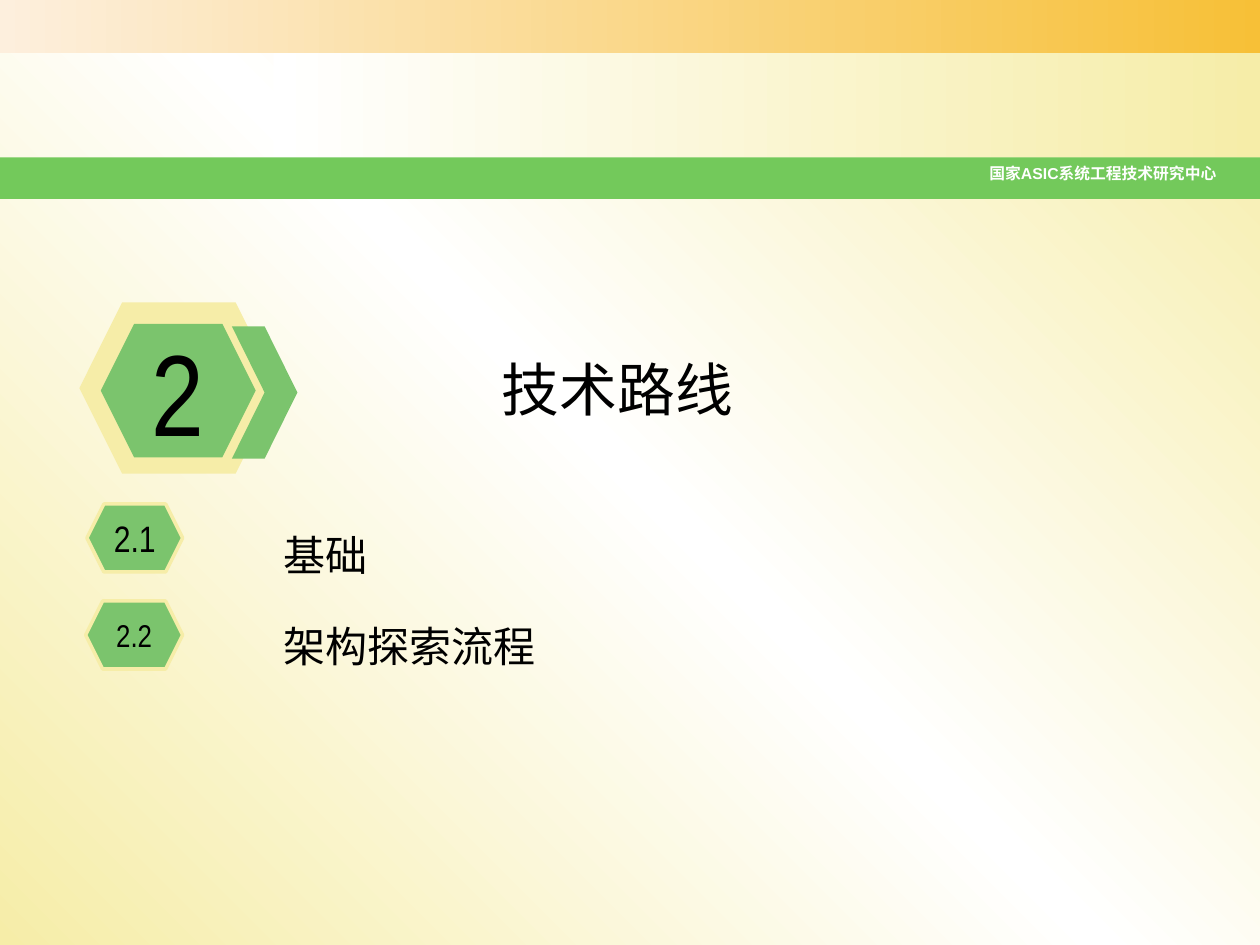
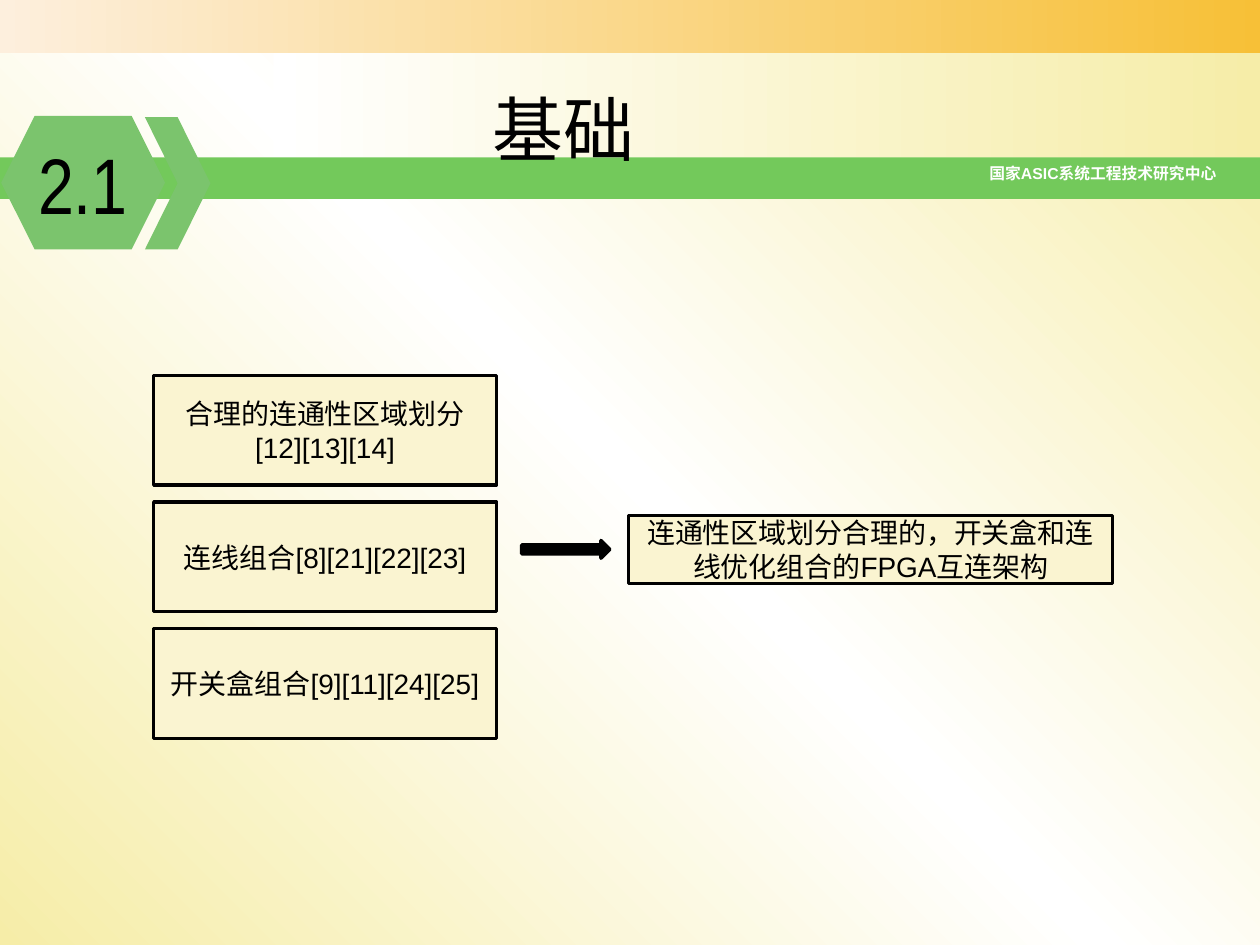
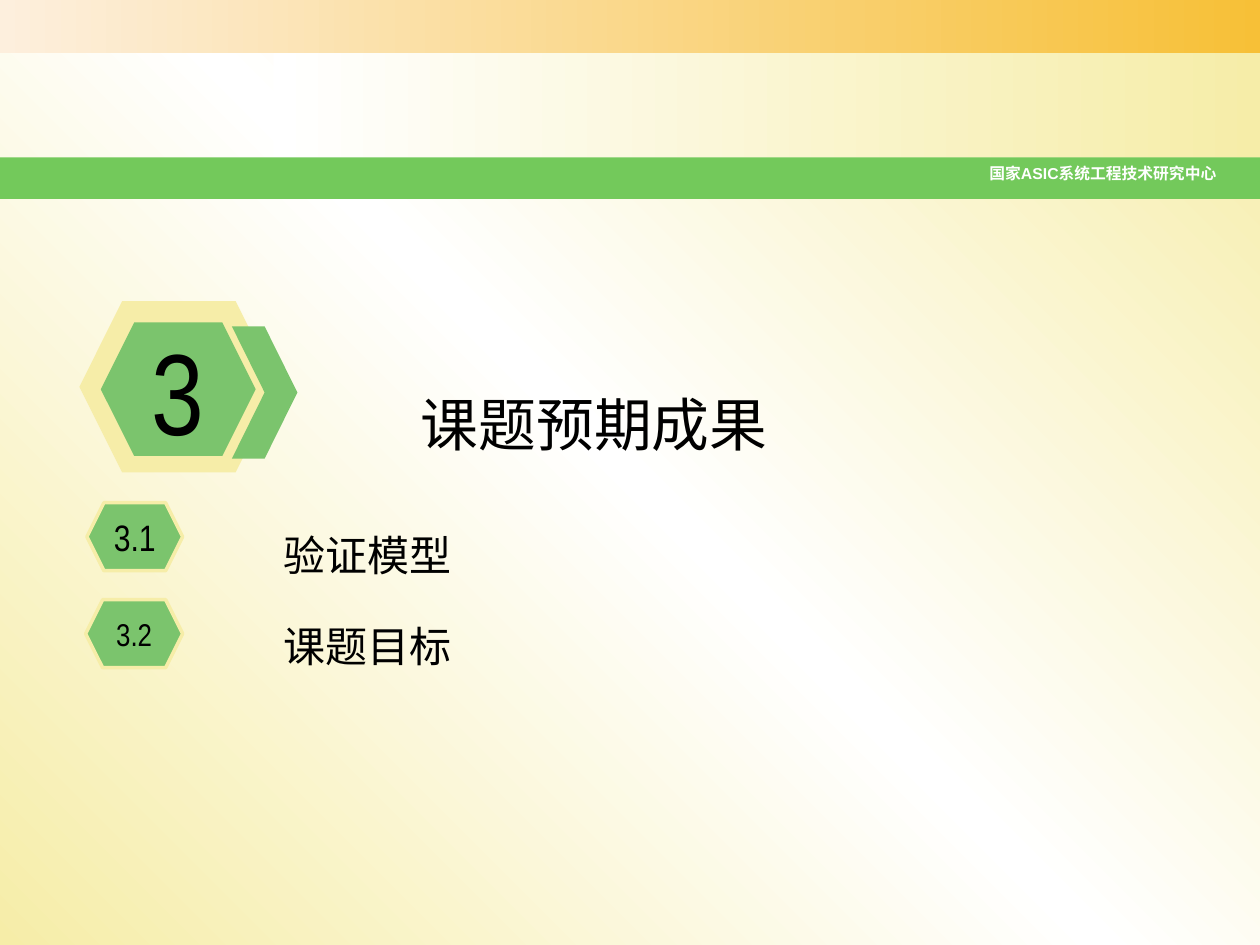
"""Build three slides of a research talk: two section openers and one topic slide."""
from lxml import etree
from pptx import Presentation
from pptx.dml.color import RGBColor
from pptx.enum import shapes, text
from pptx.oxml import ns
from pptx.util import Inches, Pt

BLACK = RGBColor(0x00, 0x00, 0x00)
WHITE = RGBColor(0xFF, 0xFF, 0xFF)
CREAM = RGBColor(0xF6, 0xED, 0xA8)
PALE_CREAM = RGBColor(0xFA, 0xF4, 0xD1)
PEACH = RGBColor(0xFD, 0xEF, 0xDD)
AMBER = RGBColor(0xF7, 0xC0, 0x37)
BAND_GREEN = RGBColor(0x73, 0xC9, 0x5B)
BADGE_GREEN = RGBColor(0x7B, 0xC4, 0x6D)

HAN_FONT = "Noto Sans CJK SC"
BADGE_FONT = "Arial Narrow"
BODY_FONT = "Arial"
INSTITUTE = "国家ASIC系统工程技术研究中心"
TITLE_ONLY = 5

RECT = shapes.MSO_SHAPE.RECTANGLE
HEXAGON = shapes.MSO_SHAPE.HEXAGON
CHEVRON = shapes.MSO_SHAPE.CHEVRON
ARROW = shapes.MSO_SHAPE.RIGHT_ARROW
LEFT, CENTER, RIGHT = text.PP_ALIGN.LEFT, text.PP_ALIGN.CENTER, text.PP_ALIGN.RIGHT


def set_gradient(fill, owner, colours, angle=0):
    """Fill with evenly spaced colour stops."""
    fill.gradient()
    fill.gradient_angle = angle
    stops = next(owner.iter(ns.qn("a:gsLst")))
    for stop in list(stops):
        stops.remove(stop)
    for index, colour in enumerate(colours):
        position = 100000 * index // (len(colours) - 1)
        stop = etree.SubElement(stops, ns.qn("a:gs"), pos=str(position))
        etree.SubElement(stop, ns.qn("a:srgbClr"), val=str(colour))


def write(frame, lines, size, font, colour=BLACK, align=LEFT, bold=False,
          spacing=1.0, before=0):
    """Put one paragraph per line into a text frame."""
    for index, line in enumerate(lines):
        paragraph = frame.add_paragraph() if index else frame.paragraphs[0]
        paragraph.text = line
        paragraph.alignment = align
        paragraph.line_spacing = spacing
        paragraph.space_before = Pt(before)
        paragraph.font.size = Pt(size)
        paragraph.font.name = font
        paragraph.font.bold = bold
        paragraph.font.color.rgb = colour
        defaults = next(paragraph._p.iter(ns.qn("a:defRPr")))
        etree.SubElement(defaults, ns.qn("a:ea"), typeface=HAN_FONT)


def add_figure(slide, preset, box, fill=None, line=None):
    """Add a flat preset shape at box = left, top, width, height."""
    figure = slide.shapes.add_shape(preset, *map(Inches, box))
    figure.shadow.inherit = False
    if fill is not None:
        figure.fill.solid()
        figure.fill.fore_color.rgb = fill
    if line is None:
        figure.line.fill.background()
    else:
        figure.line.color.rgb = line
        figure.line.width = Pt(2)
    return figure


def add_badge(slide, number, box, size, line=None):
    """Add a numbered green hexagon."""
    frame = add_figure(slide, HEXAGON, box, BADGE_GREEN, line).text_frame
    frame.word_wrap = False
    frame.vertical_anchor = text.MSO_ANCHOR.MIDDLE
    write(frame, [number], size, BADGE_FONT, align=CENTER)


def add_claim(slide, wording, box):
    """Add an outlined box with centred wording."""
    frame = add_figure(slide, RECT, box, PALE_CREAM, BLACK).text_frame
    frame.word_wrap = True
    frame.vertical_anchor = text.MSO_ANCHOR.MIDDLE
    write(frame, [wording], 16, BODY_FONT, align=CENTER)


def add_text(slide, lines, box, size, font, **style):
    """Add a wrapping text box."""
    frame = slide.shapes.add_textbox(*map(Inches, box)).text_frame
    frame.word_wrap = True
    write(frame, lines, size, font, **style)


def add_slide(deck, title, box, size, wrap=True, **style):
    """Add a slide with its placed title and the institute line."""
    slide = deck.slides.add_slide(deck.slide_layouts[TITLE_ONLY])
    heading = slide.shapes.title
    heading.left, heading.top, heading.width, heading.height = map(Inches, box)
    frame = heading.text_frame
    frame.word_wrap = wrap
    frame.auto_size = text.MSO_AUTO_SIZE.SHAPE_TO_FIT_TEXT
    frame.vertical_anchor = text.MSO_ANCHOR.TOP
    write(frame, [title], size, HAN_FONT, **style)
    add_text(slide, [INSTITUTE], (0.5, 1.25, 9.25, 0.26), 9, BODY_FONT,
             colour=WHITE, align=RIGHT, bold=True)
    return slide


def dress_master(deck, slide):
    """Give the master its background and the three header bands."""
    master = deck.slide_master
    set_gradient(master.background.fill, master.element, [CREAM, WHITE, CREAM], 45)
    top_band = add_figure(slide, RECT, (0, 0, 10, 0.42))
    set_gradient(top_band.fill, top_band.element, [PEACH, AMBER])
    title_band = add_figure(slide, RECT, (2.17, 0.42, 7.83, 0.83))
    set_gradient(title_band.fill, title_band.element, [WHITE, CREAM])
    green_band = add_figure(slide, RECT, (0, 1.25, 10, 0.33), BAND_GREEN)
    for index, band in enumerate((top_band, title_band, green_band)):
        band.element.nvSpPr.cNvPr.id = 100 + index
        master.shapes.element.insert(2 + index, band.element)


def add_section(slide, number, topics, top):
    """Add the section badge, its topic badges and the topic list."""
    add_figure(slide, HEXAGON, (0.63, top, 1.58, 1.36), CREAM)
    add_badge(slide, str(number), (0.8, top + 0.17, 1.23, 1.06), 66)
    add_badge(slide, f"{number}.1", (0.69, top + 1.6, 0.76, 0.54), 21, CREAM)
    add_badge(slide, f"{number}.2", (0.68, top + 2.37, 0.77, 0.54), 18, CREAM)
    add_figure(slide, CHEVRON, (1.84, 2.59, 0.52, 1.05), BADGE_GREEN)
    add_text(slide, topics, (2.15, 3.95, 5, 1.44), 24, HAN_FONT,
             spacing=1.5, before=9)


def add_basis(slide):
    """Add the three building blocks that lead to the architecture."""
    add_badge(slide, "2.1", (0.01, 0.92, 1.3, 1.06), 45)
    add_figure(slide, CHEVRON, (1.15, 0.93, 0.52, 1.05), BADGE_GREEN)
    blocks = ["合理的连通性区域划分[12][13][14]",
              "连线组合[8][21][22][23]",
              "开关盒组合[9][11][24][25]"]
    for index, block in enumerate(blocks):
        add_claim(slide, block, (1.22, 2.98 + 1.005 * index, 2.72, 0.87))
    add_figure(slide, ARROW, (4.14, 4.29, 0.7, 0.14), BLACK, BLACK)
    add_claim(slide, "连通性区域划分合理的，开关盒和连线优化组合的FPGA互连架构",
              (4.99, 4.09, 3.84, 0.54))


def main():
    """Build and save the deck."""
    deck = Presentation()
    deck.slide_width, deck.slide_height = Inches(10), Inches(7.5)

    route = add_slide(deck, "技术路线", (2.69, 2.76, 4.42, 0.66), 33, align=CENTER)
    dress_master(deck, route)
    add_section(route, 2, ["基础", "架构探索流程"], 2.4)

    basis = add_slide(deck, "基础", (3.81, 0.29, 3.81, 1.03), 40.5,
                      spacing=1.5, before=9)
    add_basis(basis)

    results = add_slide(deck, "课题预期成果", (3.24, 2.76, 2.98, 0.93), 33,
                        wrap=False, spacing=1.5, before=9)
    add_section(results, 3, ["验证模型", "课题目标"], 2.39)

    deck.save("out.pptx")


if __name__ == "__main__":
    main()
